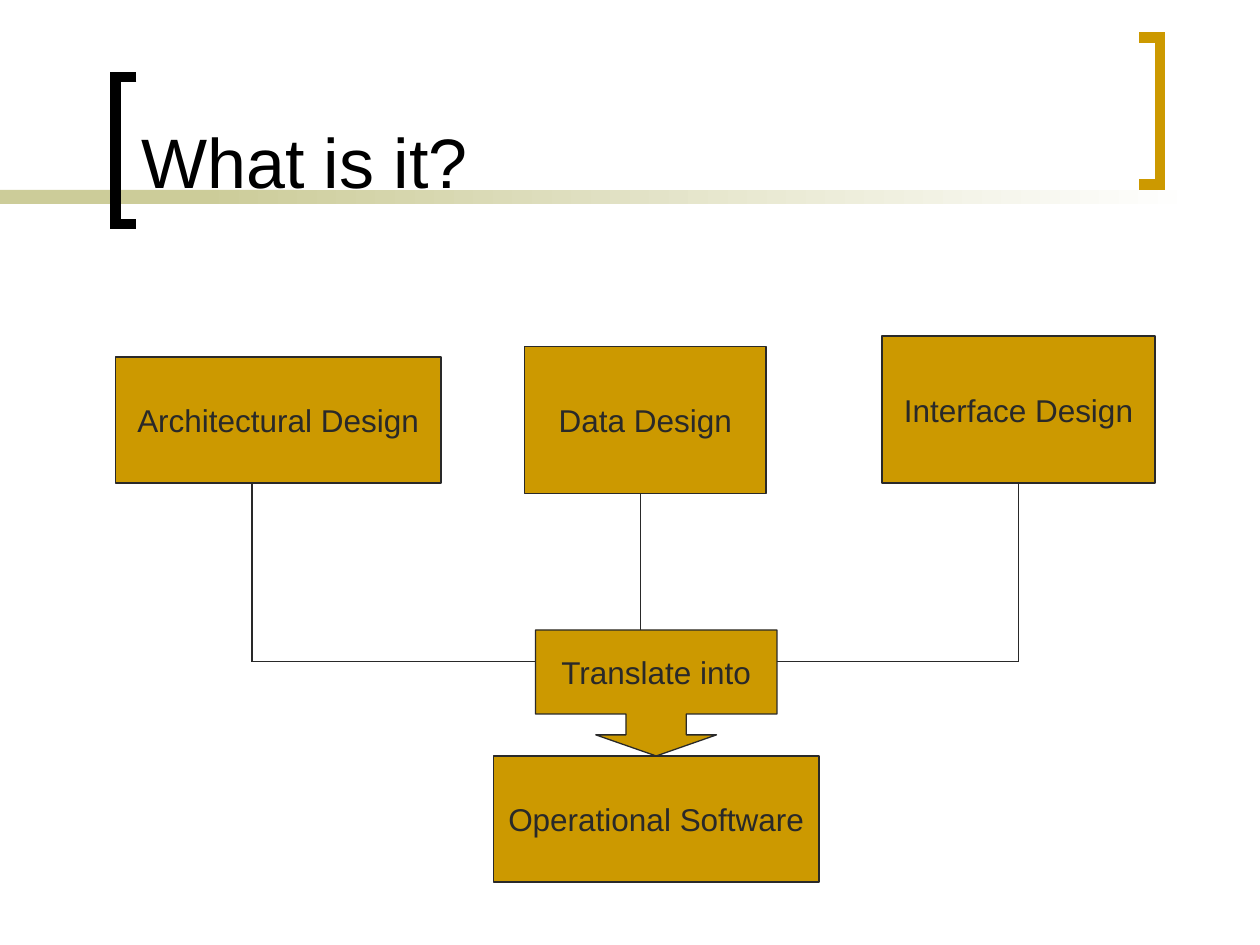
from lxml import etree
from pptx import Presentation
from pptx.dml.color import RGBColor
from pptx.enum import shapes as kinds, text as txt
from pptx.oxml.ns import qn
from pptx.util import Pt

BLACK = RGBColor(0x00, 0x00, 0x00)
WHITE = RGBColor(0xFF, 0xFF, 0xFF)
GOLD = RGBColor(0xCC, 0x99, 0x00)
OLIVE = RGBColor(0xCC, 0xCC, 0x99)
INK = RGBColor(0x29, 0x29, 0x29)
FONT = "Arial"

prs = Presentation()
prs.slide_width, prs.slide_height = Pt(720), Pt(540)
slide = prs.slides.add_slide(prs.slide_layouts[5])


def add_block(kind, left, top, width, height):
    block = slide.shapes.add_shape(kind, Pt(left), Pt(top), Pt(width), Pt(height))
    block.shadow.inherit = False
    return block


# Band under the title: solid start, then a fade to white
band_start = add_block(kinds.MSO_SHAPE.RECTANGLE, 0, 108.5, 168, 8)
band_start.fill.solid()
band_start.fill.fore_color.rgb = OLIVE
band_fade = add_block(kinds.MSO_SHAPE.RECTANGLE, 114, 108.5, 570, 8)
band_fade.fill.gradient()
band_fade.fill.gradient_angle = 0
for stop, color in zip(band_fade.fill.gradient_stops, (OLIVE, WHITE)):
    stop.color.rgb = color
for band in (band_start, band_fade):
    band.line.fill.background()

# Square brackets around the title: open side, spine, top, colour
for open_x, spine_x, top, color in ((78, 66, 44, BLACK), (651, 663, 21.5, GOLD)):
    bottom = top + 84
    outline = slide.shapes.build_freeform(Pt(open_x), Pt(top))
    outline.add_line_segments(
        [(Pt(spine_x), Pt(top)), (Pt(spine_x), Pt(bottom)), (Pt(open_x), Pt(bottom))],
        close=False)
    bracket = outline.convert_to_shape()
    bracket.shadow.inherit = False
    bracket.fill.background()
    bracket.line.color.rgb = color
    bracket.line.width = Pt(6)
    etree.SubElement(bracket.line._get_or_add_ln(), qn("a:miter"), lim="800000")

# Title, brought in front of the band
title = slide.shapes.title
slide.shapes._spTree.append(title._element)
title.left, title.top, title.width, title.height = Pt(73.5), Pt(8), Pt(564), Pt(111.5)
title.text_frame.text = "What is it?"
title.text_frame.auto_size = txt.MSO_AUTO_SIZE.NONE
title.text_frame.vertical_anchor = txt.MSO_ANCHOR.BOTTOM
heading = title.text_frame.paragraphs[0]
heading.alignment = txt.PP_ALIGN.LEFT
heading.font.name, heading.font.size, heading.font.color.rgb = FONT, Pt(40), BLACK

# Design boxes, the result and the arrow callout
RECT, CALLOUT = kinds.MSO_SHAPE.RECTANGLE, kinds.MSO_SHAPE.DOWN_ARROW_CALLOUT
steps = [
    ("Architectural Design", RECT, 66, 204, 186, 72),
    ("Data Design", RECT, 299.75, 198, 138, 84),
    ("Interface Design", RECT, 504, 192, 156, 84),
    ("Operational Software", RECT, 282, 432, 186, 72),
    ("Translate into", CALLOUT, 306, 360, 138, 72),
]
for label, kind, *box in steps:
    step = add_block(kind, *box)
    if kind == CALLOUT:
        for i, value in enumerate((0.479, 0.479, 0.167, 0.667)):
            step.adjustments[i] = value
    step.fill.solid()
    step.fill.fore_color.rgb = GOLD
    step.line.color.rgb = INK
    step.line.width = Pt(0.75)
    step.text_frame.text = label
    step.text_frame.word_wrap = False
    step.text_frame.vertical_anchor = txt.MSO_ANCHOR.MIDDLE
    caption = step.text_frame.paragraphs[0]
    caption.alignment = txt.PP_ALIGN.CENTER
    caption.font.name, caption.font.size, caption.font.color.rgb = FONT, Pt(18), INK

# Lines from the design boxes into the callout
links = [
    (144, 276, 144, 378), (144, 378, 306, 378),
    (582, 276, 582, 378), (444, 378, 582, 378),
    (366, 282, 366, 360),
]
for ends in links:
    link = slide.shapes.add_connector(kinds.MSO_CONNECTOR.STRAIGHT, *map(Pt, ends))
    link.line.color.rgb = INK
    link.line.width = Pt(0.75)
    etree.SubElement(link._element.spPr, qn("a:effectLst"))

prs.save("out.pptx")
